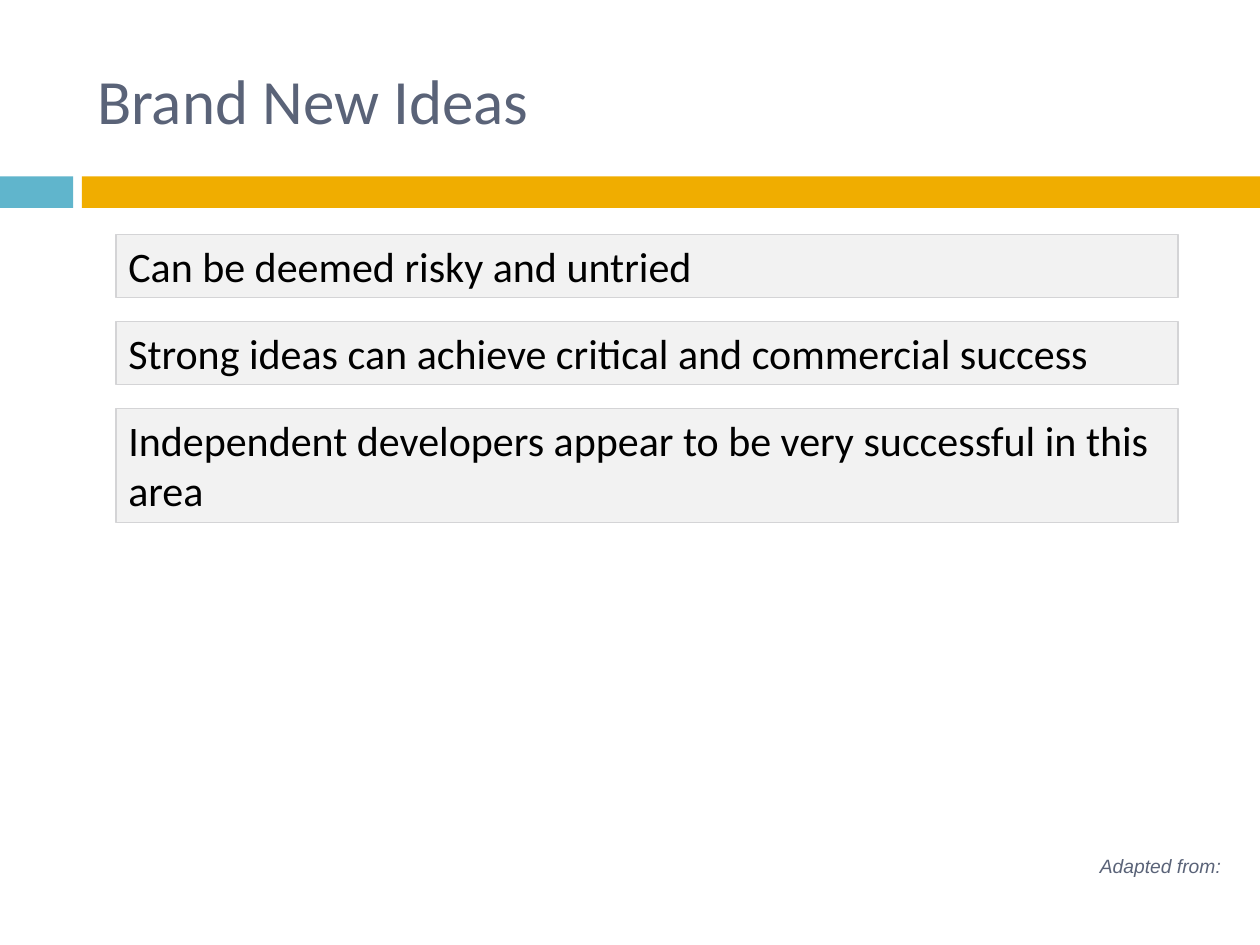
from pptx import Presentation
from pptx.dml.color import RGBColor
from pptx.enum.shapes import MSO_SHAPE as Shape
from pptx.enum.text import MSO_ANCHOR as Anchor, PP_ALIGN as Align
from pptx.util import Inches, Pt

COLOURS = {"slate": "5A6378", "blue": "60B5CC", "amber": "F0AD00",
           "panel": "F2F2F2", "edge": "D4D4D6", "black": "000000"}
TITLE = "Brand New Ideas"
CREDIT = "Adapted from:"
BANDS = [(0, 0.58, "blue"), (0.65, 9.35, "amber")]
IDEAS = [
    ("Can be deemed risky and untried", 0.5),
    ("Strong ideas can achieve critical and commercial success", 0.5),
    ("Independent developers appear to be very successful in this area", 0.91),
]
PANEL_LEFT, PANEL_TOP, PANEL_WIDTH, PANEL_GAP = 0.92, 1.86, 8.43, 0.19


def colour(name):
    return RGBColor.from_string(COLOURS[name])


def add_panel(page, left, top, width, height, fill, edge=None):
    panel = page.shapes.add_shape(
        Shape.RECTANGLE, Inches(left), Inches(top), Inches(width), Inches(height))
    panel.shadow.inherit = False
    panel.fill.solid()
    panel.fill.fore_color.rgb = colour(fill)
    if edge:
        panel.line.color.rgb = colour(edge)
        panel.line.width = Pt(0.75)
    else:
        panel.line.fill.background()
    return panel


def write(box, text, size, font, ink, align=Align.LEFT, anchor=Anchor.MIDDLE):
    frame = box.text_frame
    frame.word_wrap = True
    frame.vertical_anchor = anchor
    para = frame.paragraphs[0]
    para.text = text
    para.alignment = align
    para.font.size = Pt(size)
    para.font.name = font
    para.font.color.rgb = colour(ink)
    return para


def main():
    """Build the Brand New Ideas slide."""
    deck = Presentation()
    deck.slide_width, deck.slide_height = Inches(10), Inches(7.5)
    page = deck.slides.add_slide(deck.slide_layouts[5])

    for left, width, fill in BANDS:
        add_panel(page, left, 1.4, width, 0.25, fill)

    title = page.shapes.title
    title.left, title.top = Inches(0.67), Inches(0.25)
    title.width, title.height = Inches(8.92), Inches(1.08)
    write(title, TITLE, 36, "Calibri", "slate")

    credit = page.shapes.add_textbox(Inches(3.86), Inches(6.67), Inches(5.93), Inches(0.4))
    para = write(credit, CREDIT, 11, "Arial", "slate", Align.RIGHT)
    para.font.italic = True

    top = PANEL_TOP
    for idea, height in IDEAS:
        panel = add_panel(page, PANEL_LEFT, top, PANEL_WIDTH, height, "panel", "edge")
        write(panel, idea, 24, "Calibri", "black", anchor=Anchor.TOP)
        top += height + PANEL_GAP

    deck.save("out.pptx")


if __name__ == "__main__":
    main()
